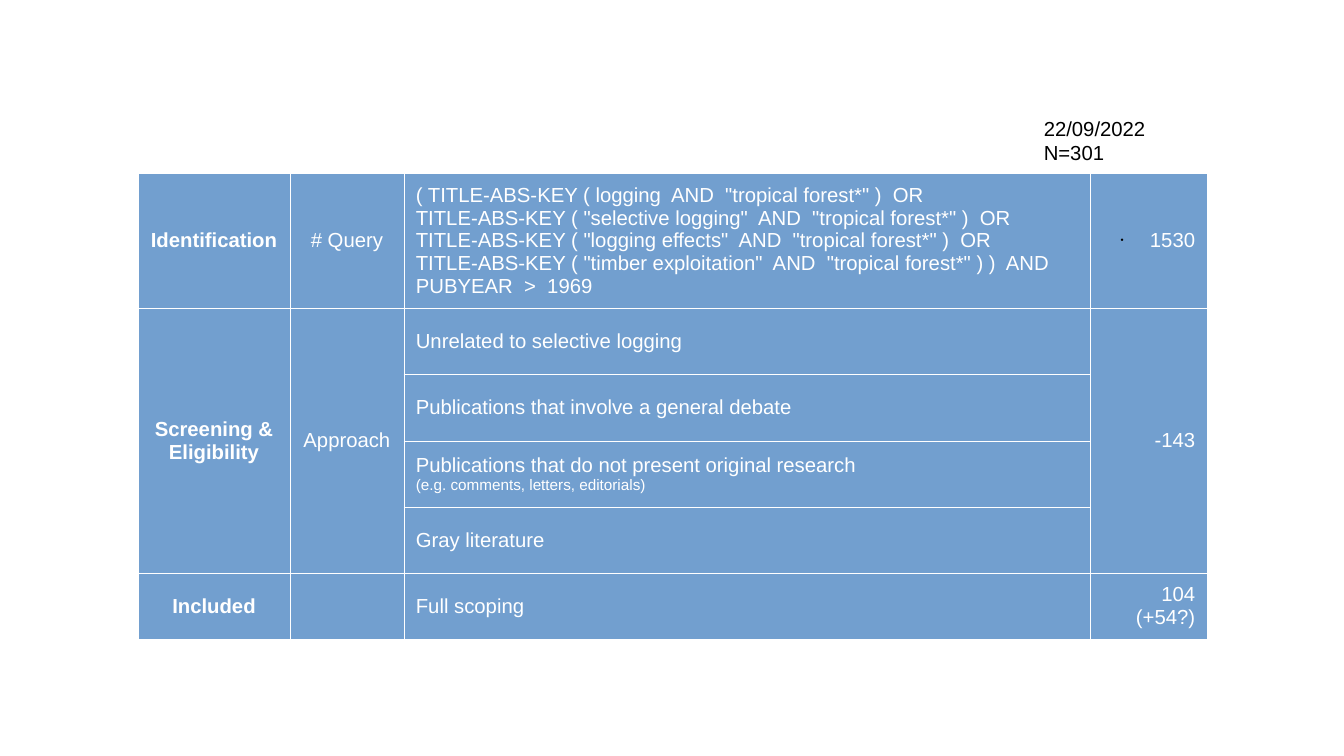
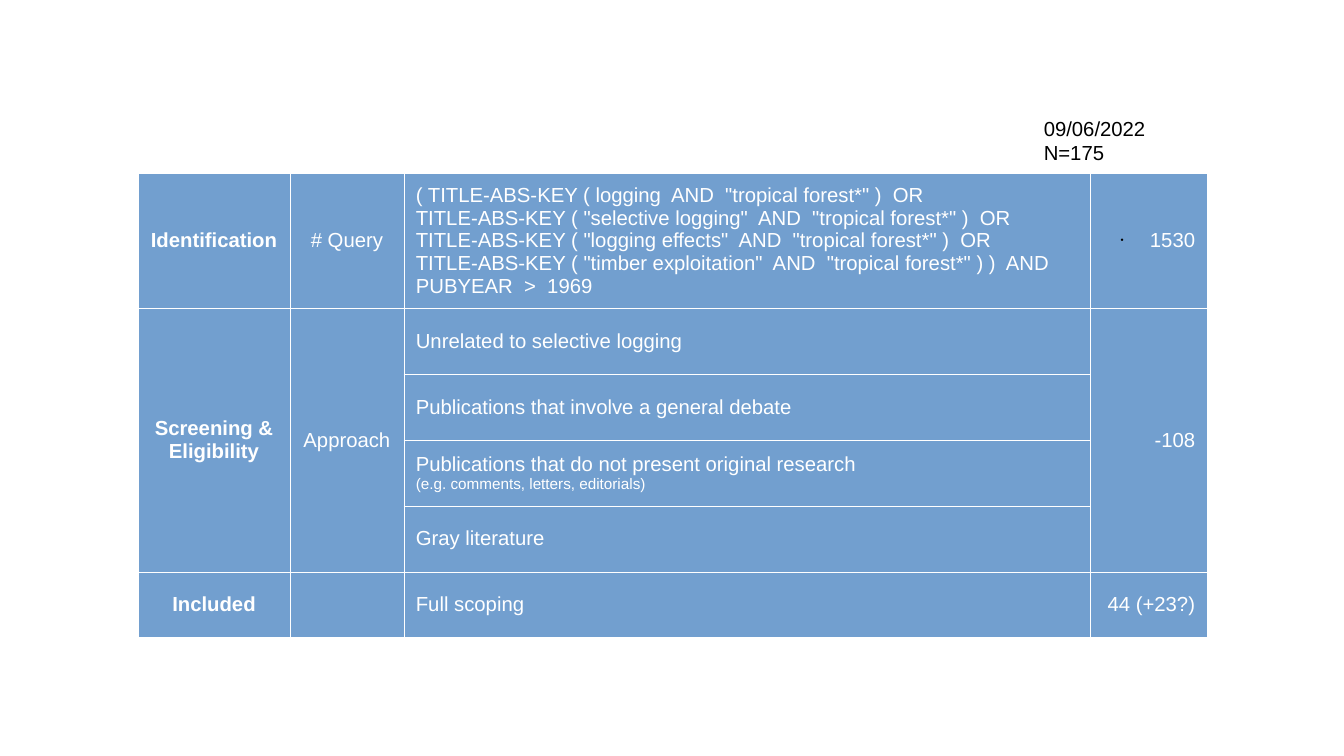
from lxml import etree
from pptx import Presentation
from pptx.dml.color import RGBColor
from pptx.enum.text import MSO_ANCHOR, PP_ALIGN
from pptx.oxml.ns import qn
from pptx.util import Emu, Pt

EMU_PER_PX = 9144
LEFT, CENTER, RIGHT = PP_ALIGN.LEFT, PP_ALIGN.CENTER, PP_ALIGN.RIGHT
MIDDLE = MSO_ANCHOR.MIDDLE
COLORS = {"cell": "729FCF", "border": "FFFFFF", "light": "FFFFFF", "dark": "000000"}
COL_WIDTHS = (125, 93, 563, 96)
COL_ALIGNS = (CENTER, CENTER, LEFT, RIGHT)
MERGED_COLS = (0, 1, 3)
QUERY = """( TITLE-ABS-KEY ( logging  AND  "tropical forest*" )  OR
TITLE-ABS-KEY ( "selective logging"  AND  "tropical forest*" )  OR
TITLE-ABS-KEY ( "logging effects"  AND  "tropical forest*" )  OR
TITLE-ABS-KEY ( "timber exploitation"  AND  "tropical forest*" ) )  AND
PUBYEAR  >  1969"""
NO_RESEARCH = ("Publications that do not present original research \v"
               "(e.g. comments, letters, editorials)")


def px(n):
    return Emu(n * EMU_PER_PX)


class Deck:
    """Holds the shared style and the current slide."""

    def __init__(self, width, height):
        self.prs = Presentation()
        self.prs.slide_width, self.prs.slide_height = px(width), px(height)
        self.slide = None

    def new_slide(self):
        self.slide = self.prs.slides.add_slide(self.prs.slide_layouts[6])

    def set_text(self, tf, text, color, align=LEFT, bold=False):
        tf.word_wrap = True
        tf.text = text
        for p in tf.paragraphs:
            p.alignment = align
            p.font.name, p.font.size, p.font.bold = "Arial", Pt(12), bold
            p.font.color.rgb = RGBColor.from_string(COLORS[color])
            for r in p.runs[1:]:
                r.font.size = Pt(9)

    def label(self, text, x, y, w, h):
        sp = self.slide.shapes.add_textbox(px(x), px(y), px(w), px(h))
        self.set_text(sp.text_frame, text, "dark")

    def bullet(self, p):
        pPr = p._p.get_or_add_pPr()
        pPr.set("marL", str(px(24)))
        pPr.set("indent", str(-px(24)))
        clr = etree.Element(qn("a:buClr"))
        etree.SubElement(clr, qn("a:srgbClr"), val=COLORS["dark"])
        parts = (clr, etree.Element(qn("a:buSzPct"), val="45000"),
                 etree.Element(qn("a:buChar"), char="•"))
        for i, part in enumerate(parts):
            pPr.insert(i, part)

    def borders(self, cell):
        tcPr = cell._tc.get_or_add_tcPr()
        for side in ("lnL", "lnR", "lnT", "lnB"):
            ln = etree.SubElement(tcPr, qn(f"a:{side}"), w=str(Pt(0.06)))
            fill = etree.SubElement(ln, qn("a:solidFill"))
            etree.SubElement(fill, qn("a:srgbClr"), val=COLORS["border"])

    def table(self, rows, x, y, heights):
        frame = self.slide.shapes.add_table(
            len(rows), len(COL_WIDTHS), px(x), px(y),
            px(sum(COL_WIDTHS)), px(sum(heights)))
        table = frame.table
        table.first_row = table.horz_banding = False
        for col, width in zip(table.columns, COL_WIDTHS):
            col.width = px(width)
        for row, height, texts in zip(table.rows, heights, rows):
            row.height = px(height)
            for c, (cell, text) in enumerate(zip(row.cells, texts)):
                self.borders(cell)
                cell.fill.solid()
                cell.fill.fore_color.rgb = RGBColor.from_string(COLORS["cell"])
                cell.vertical_anchor = MIDDLE
                self.set_text(cell.text_frame, text, "light", COL_ALIGNS[c], c == 0)
        return table

    def screening(self, date, total, excluded, included, debate_height):
        self.new_slide()
        table = self.table((
            ("Identification", "# Query", QUERY, "1530"),
            ("Screening & Eligibility", "Approach",
             "Unrelated to selective logging", excluded),
            ("", "", "Publications that involve a general debate", ""),
            ("", "", NO_RESEARCH, ""),
            ("", "", "Gray literature", ""),
            ("Included", "", "Full scoping", included),
        ), 113, 142, (111, 54, debate_height, 54, 54, 54))
        for c in MERGED_COLS:
            table.cell(1, c).merge(table.cell(4, c))
        self.bullet(table.cell(0, 3).text_frame.paragraphs[0])
        self.label(f"{date}\nN={total}", 846, 90, 138, 47)


def main():
    deck = Deck(1102, 620)
    deck.screening("22/09/2022", 301, "-143", "104 (+54?)", 55)
    deck.screening("09/06/2022", 175, "-108", "44 (+23?)", 54)
    deck.prs.save("out.pptx")


if __name__ == "__main__":
    main()
